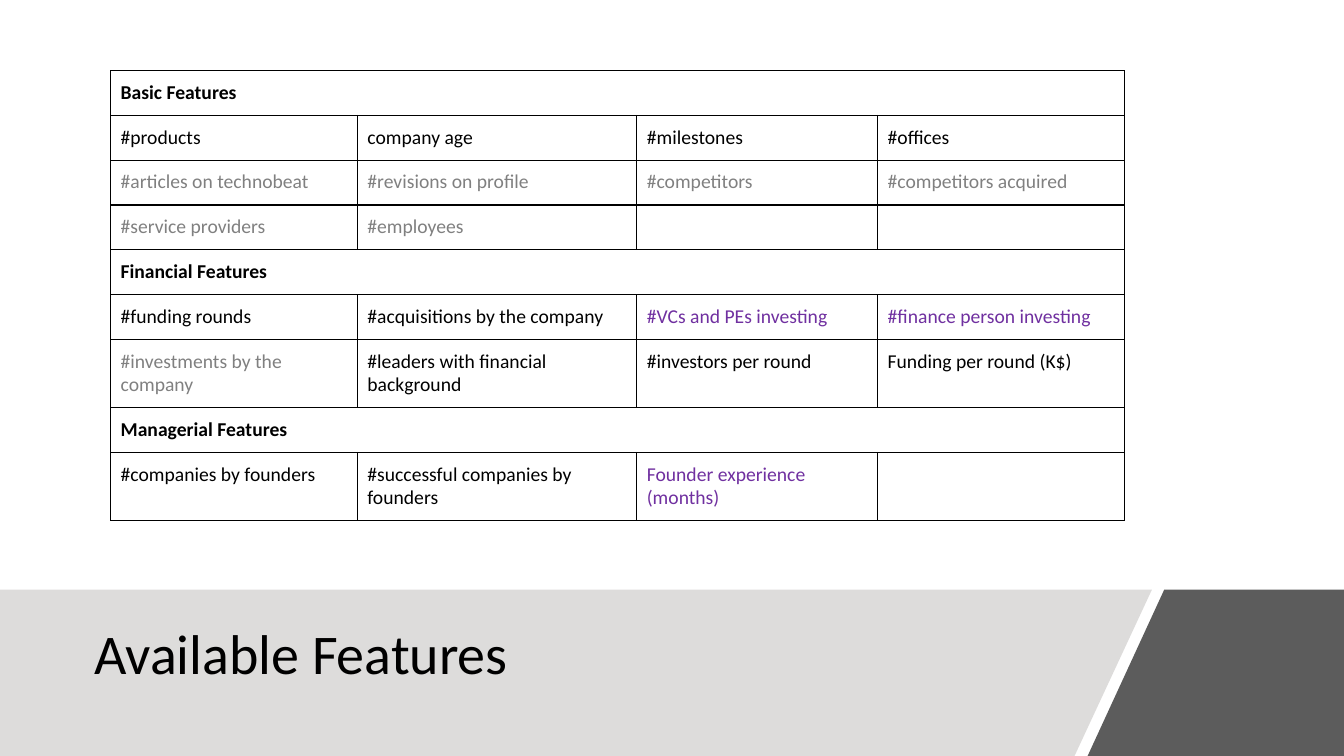
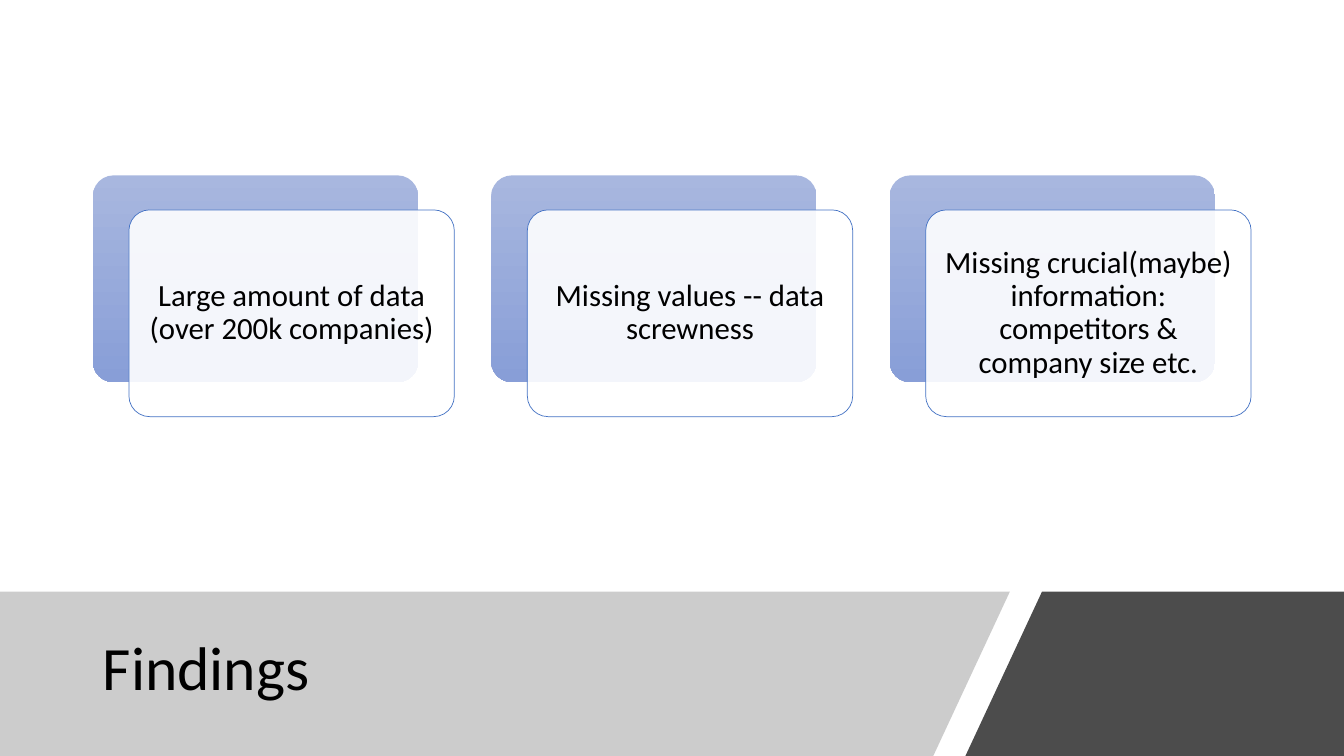
import lxml.etree
import pptx
import pptx.dml.color
import pptx.enum.shapes
import pptx.enum.text
import pptx.oxml.ns
import pptx.util

Cm, Pt, qn = pptx.util.Cm, pptx.util.Pt, pptx.oxml.ns.qn
ANCHOR = pptx.enum.text.MSO_ANCHOR
ALIGN = pptx.enum.text.PP_ALIGN
ROUNDED = pptx.enum.shapes.MSO_SHAPE.ROUNDED_RECTANGLE

# Content
FONT = "Calibri"
COLORS = {
    "black": "000000", "white": "FFFFFF", "grey": "808080", "purple": "7030A0",
    "pale": "DDDCDB", "charcoal": "404040", "blue": "4472C4",
    "card_top": "A8B7DF", "card_bottom": "889ED7",
}

# A row with one entry is a heading; a (colour, text) pair is a coloured cell
FEATURES = [
    ["Basic Features"],
    ["#products", "company age", "#milestones", "#offices"],
    [("grey", "#articles on technobeat"), ("grey", "#revisions on profile"),
     ("grey", "#competitors"), ("grey", "#competitors acquired")],
    [("grey", "#service providers"), ("grey", "#employees"), "", ""],
    ["Financial Features"],
    ["#funding rounds", "#acquisitions by the company",
     ("purple", "#VCs and PEs investing"), ("purple", "#finance person investing")],
    [("grey", "#investments by the company"), "#leaders with financial background",
     "#investors per round", "Funding per round (K$)"],
    ["Managerial Features"],
    ["#companies by founders", "#successful companies by founders",
     ("purple", "Founder experience (months)"), ""],
]
COLUMN_WIDTHS = [6.22, 7.04, 6.07, 6.22]
ROW_HEIGHT, TALL_ROW_HEIGHT, TALL_ROWS = 1.13, 1.72, (6, 8)

FINDINGS = [
    "Large amount of data (over 200k companies)",
    "Missing values -- data screwness",
    "Missing crucial(maybe) information: competitors & company size etc.",
]

# Bands: top edge, then (x at top, x at bottom) of each slanted edge,
# then (colour, opacity) of each part
FEATURES_BAND = dict(top=14.86, light_edge=(29.03, 27.08), dark_edge=(29.34, 27.41),
                     light=("pale", 100), dark=("charcoal", 85))
FINDINGS_BAND = dict(top=14.91, light_edge=(25.45, 23.52), dark_edge=(26.26, 24.33),
                     light=("grey", 40), dark=("black", 70))
WIDTH, HEIGHT = 33.87, 19.05


# Shared helpers
def rgb(name):
    return pptx.dml.color.RGBColor.from_string(COLORS[name])


def paint(sp, color, opacity=100):
    sp.shadow.inherit = False
    sp.fill.solid()
    sp.fill.fore_color.rgb = rgb(color)
    if opacity < 100:
        clr = sp._element.spPr.find(qn("a:solidFill"))[0]
        lxml.etree.SubElement(clr, qn("a:alpha"), val=str(opacity * 1000))


def write(tf, text, size, color="black", bold=False):
    p = tf.paragraphs[0]
    p.text = text
    p.font.name, p.font.size, p.font.bold = FONT, Pt(size), bold
    p.font.color.rgb = rgb(color)
    return p


def add_polygon(slide, points, color, opacity):
    points = [(Cm(x), Cm(y)) for x, y in points]
    builder = slide.shapes.build_freeform(*points[0])
    builder.add_line_segments(points[1:])
    sp = builder.convert_to_shape()
    paint(sp, color, opacity)
    sp.line.fill.background()


def add_band(slide, top, light_edge, dark_edge, light, dark):
    for outer, (upper, lower), look in ((0, light_edge, light), (WIDTH, dark_edge, dark)):
        points = [(outer, top), (upper, top), (lower, HEIGHT), (outer, HEIGHT)]
        add_polygon(slide, points, *look)


def add_title(slide, text, box, size, anchor):
    tf = slide.shapes.add_textbox(*map(Cm, box)).text_frame
    tf.word_wrap = True
    tf.vertical_anchor = anchor
    write(tf, text, size).line_spacing = 0.9


def add_borders(cell):
    tcPr = cell._tc.get_or_add_tcPr()
    for side in ("lnL", "lnR", "lnT", "lnB"):
        ln = lxml.etree.SubElement(tcPr, qn("a:" + side), w=str(Pt(1)))
        fill = lxml.etree.SubElement(ln, qn("a:solidFill"))
        lxml.etree.SubElement(fill, qn("a:srgbClr"), val=COLORS["black"])


prs = pptx.Presentation()
prs.slide_width, prs.slide_height = Cm(WIDTH), Cm(HEIGHT)
blank = prs.slide_layouts[6]

# Slide 1: feature table
s = prs.slides.add_slide(blank)
add_band(s, **FEATURES_BAND)
add_title(s, "Available Features", (2.13, 15.11, 25.27, 2.31), 40, ANCHOR.BOTTOM)

heights = [TALL_ROW_HEIGHT if i in TALL_ROWS else ROW_HEIGHT for i in range(len(FEATURES))]
table = s.shapes.add_table(len(FEATURES), len(COLUMN_WIDTHS), Cm(2.79), Cm(1.78),
                           Cm(sum(COLUMN_WIDTHS)), Cm(sum(heights))).table
table.first_row = table.horz_banding = False
for column, width in zip(table.columns, COLUMN_WIDTHS):
    column.width = Cm(width)
for i, (entries, height) in enumerate(zip(FEATURES, heights)):
    table.rows[i].height = Cm(height)
    heading = len(entries) == 1
    for cell in table.rows[i].cells:
        add_borders(cell)
        cell.fill.background()
    if heading:
        table.cell(i, 0).merge(table.cell(i, len(COLUMN_WIDTHS) - 1))
    for j, entry in enumerate(entries):
        if not entry:
            continue
        color, text = ("black", entry) if isinstance(entry, str) else entry
        cell = table.cell(i, j)
        cell.margin_left = cell.margin_right = cell.margin_top = cell.margin_bottom = Cm(0.25)
        write(cell.text_frame, text, 14, color, heading)

# Slide 2: finding cards
s = prs.slides.add_slide(blank)
add_band(s, **FINDINGS_BAND)
add_title(s, "Findings", (2.34, 15.37, 21.44, 3.05), 44, ANCHOR.MIDDLE)

LEFT, TOP, PITCH = 2.34, 4.42, 10.04
CARD_WIDTH, CARD_HEIGHT = 8.2, 5.21
SHIFT_X, SHIFT_Y = 0.91, 0.87


def add_card(left, top):
    sp = s.shapes.add_shape(ROUNDED, Cm(left), Cm(top), Cm(CARD_WIDTH), Cm(CARD_HEIGHT))
    sp.adjustments[0] = 0.1
    sp.shadow.inherit = False
    return sp


for i, finding in enumerate(FINDINGS):
    left = LEFT + i * PITCH
    back = add_card(left, TOP)
    back.line.fill.background()
    back.fill.gradient()
    back.fill.gradient_angle = 270
    for stop, place, color in zip(back.fill.gradient_stops, (0, 1), ("card_top", "card_bottom")):
        stop.position = place
        stop.color.rgb = rgb(color)

    front = add_card(left + SHIFT_X, TOP + SHIFT_Y)
    paint(front, "white", 90)
    front.line.color.rgb = rgb("blue")
    front.line.width = Pt(0.5)
    tf = front.text_frame
    tf.word_wrap = True
    tf.vertical_anchor = ANCHOR.MIDDLE
    tf.margin_left = tf.margin_right = tf.margin_top = tf.margin_bottom = Cm(0.23)
    p = write(tf, finding, 22)
    p.alignment = ALIGN.CENTER
    p.line_spacing = 0.9

prs.save("out.pptx")
